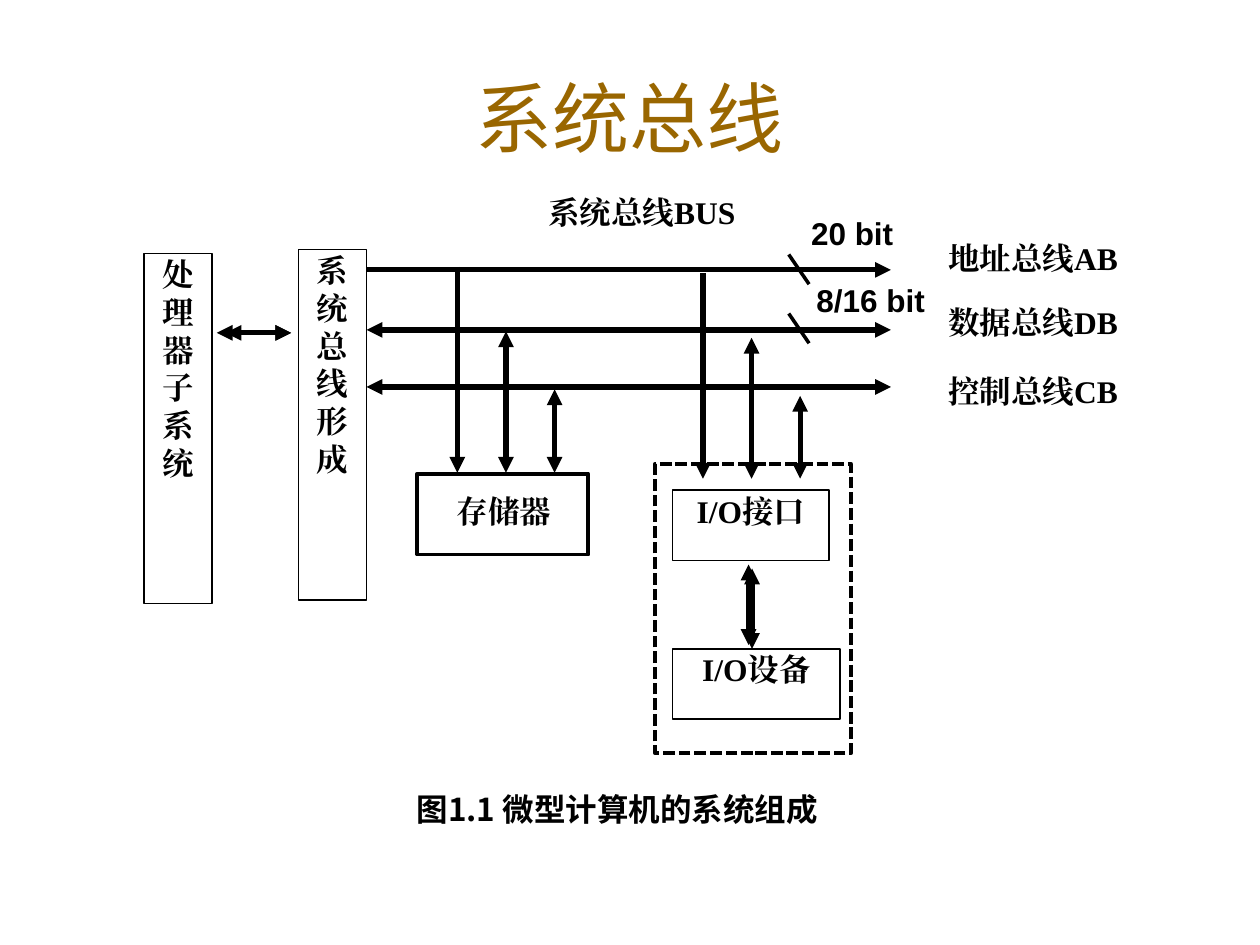
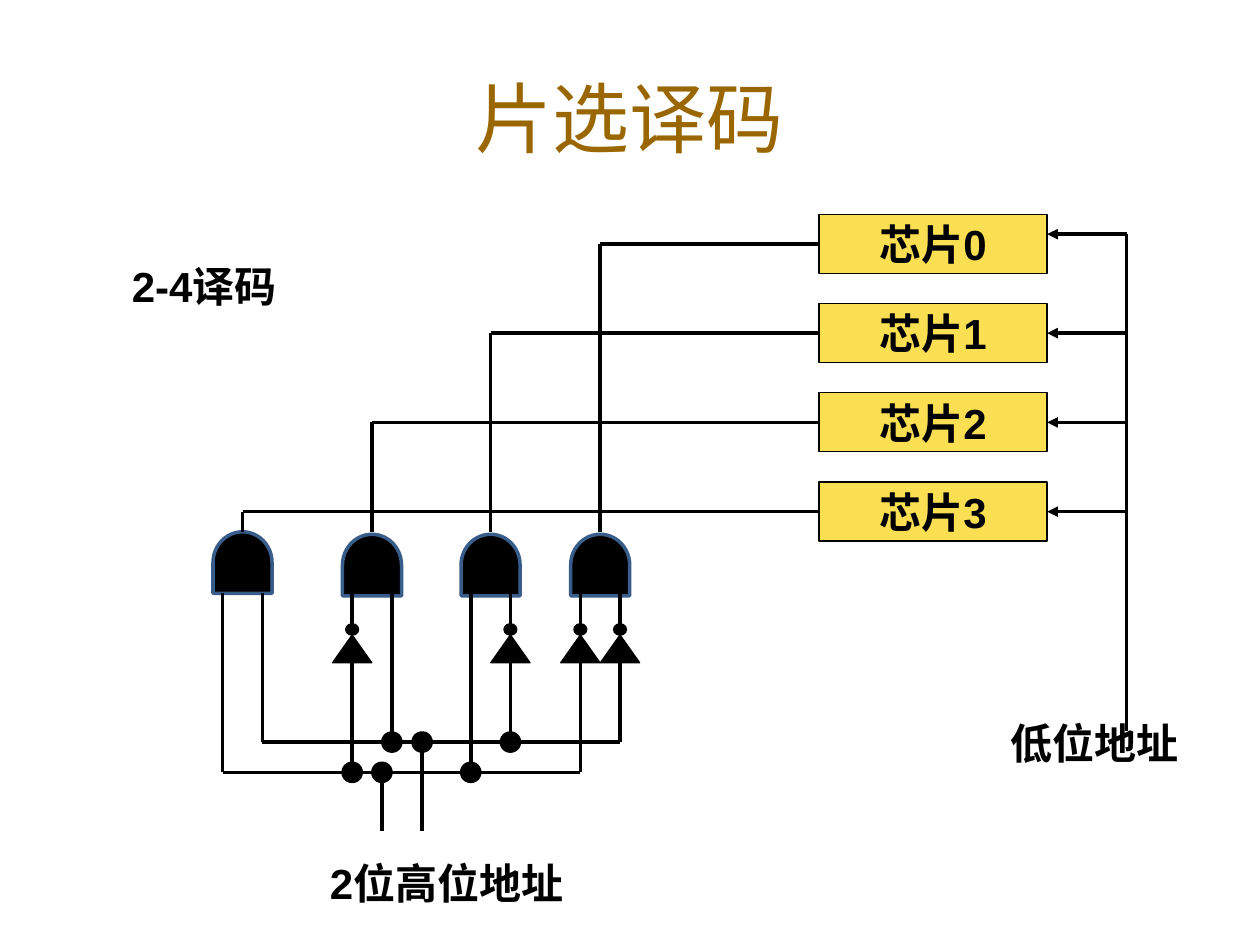
from lxml.etree import SubElement
from pptx import Presentation
from pptx.dml.color import RGBColor
from pptx.enum.dml import MSO_LINE
from pptx.enum.shapes import MSO_CONNECTOR, MSO_SHAPE
from pptx.enum.text import MSO_ANCHOR, MSO_AUTO_SIZE, PP_ALIGN
from pptx.oxml.ns import qn
from pptx.util import Cm, Pt

BLACK = RGBColor(0x00, 0x00, 0x00)
TITLE_BROWN = RGBColor(0x99, 0x66, 0x00)
CHIP_YELLOW = RGBColor(0xFB, 0xDF, 0x53)
GATE_BLUE = RGBColor(0x38, 0x5D, 0x8A)
SANS, SERIF, CJK = "Arial", "Times New Roman", "Noto Sans CJK SC"

BUS_TITLE = "系统总线"
BUS_LEFT, BUS_RIGHT = 7.39, 17.96
BUSES = [
    ("地址总线AB", 5.44, 4.78, False),
    ("数据总线DB", 6.65, 6.07, True),
    ("控制总线CB", 7.8, 7.47, True),
]
COLUMNS = [("系统总线形成", 6.02, 5.03), ("处理器子系统", 2.9, 5.11)]
CAPTIONS = [
    ("图1.1 微型计算机的系统组成", (6.38, 15.9, 12.12, 1.63), CJK),
    ("存储器", (8.69, 9.88, 2.95, 1.42), SERIF),
    ("系统总线BUS", (10.26, 3.86, 5.36, 1.47), SERIF),
]
IO_BOXES = [
    ("I/O设备", (13.56, 13.08, 3.38, 1.42)),
    ("I/O接口", (13.56, 9.88, 3.15, 1.42)),
]
MEMORY_FRAME = (8.41, 9.55, 3.45, 1.63)
IO_FRAME = (13.21, 9.35, 3.94, 5.84)
DROP_TOPS = [5.38, 6.68, 7.85]
DROP_GAP = 0.98
DROP_GROUPS = [(9.22, 0, 9.53), (14.17, 0.13, 9.65)]
LINKS = [
    (15.16, 11.46, 15.16, 13.08),
    (15.09, 11.38, 15.09, 13),
    (5.87, 6.71, 4.55, 6.71),
    (5.87, 6.71, 4.37, 6.71),
]
BUS_WIDTHS = [("20 bit", (16.1, 4.19, 2.16, 1.02), 5.13),
              ("8/16 bit", (16.21, 5.54, 2.69, 1.02), 6.32)]

DECODER_TITLE = "片选译码"
DECODER_LABELS = [
    ("2位高位地址", (6.4, 17.17, 5.41, 1.27)),
    ("2-4译码", (2.41, 5.13, 3.63, 1.27)),
    ("低位地址", (20.12, 14.33, 3.89, 1.27)),
]
CHIPS = ["芯片0", "芯片1", "芯片2", "芯片3"]
CHIP_LEFT, CHIP_TOP, CHIP_WIDTH, CHIP_HEIGHT, CHIP_GAP = 16.51, 4.32, 4.6, 1.19, 1.8
TRUNK_X, TRUNK_TOP, TRUNK_BOTTOM = 22.71, 4.72, 14.73
GATES = [
    (4.89, 11.34, (False, False)),
    (7.5, 11.39, (True, False)),
    (9.89, 11.39, (False, True)),
    (12.1, 11.39, (True, True)),
]
GATE_LENGTH, GATE_WIDTH, GATE_OUT, GATE_IN = 1.24, 1.19, 10.72, 11.96
INPUT_OFFSETS = (-0.4, 0.4)
ADDRESS_ROWS = (15.57, 14.96)
ADDRESS_TAPS = (7.7, 8.51)
TAP_BOTTOM = 16.76
BUBBLE_TOP, INVERTER_TOP, INVERTER_BOTTOM = 12.57, 12.8, 13.36
DOT = 0.41


def add_titled_slide(deck, title):
    slide = deck.slides.add_slide(deck.slide_layouts[5])
    heading = slide.shapes.title
    heading.left, heading.top, heading.width, heading.height = map(
        Cm, (1.27, 0.76, 22.86, 3.18))
    write(heading.text_frame, [title], SANS, 44, TITLE_BROWN, bold=False)
    heading.text_frame.vertical_anchor = MSO_ANCHOR.MIDDLE
    return slide


def write(frame, lines, typeface, size, color=BLACK, bold=True, align=PP_ALIGN.CENTER):
    frame.text = "\n".join(lines)
    for paragraph in frame.paragraphs:
        paragraph.alignment = align
        font = paragraph.font
        font.name, font.size, font.bold = typeface, Pt(size), bold
        font.color.rgb = color
        defaults = paragraph._p.pPr.find(qn("a:defRPr"))
        SubElement(defaults, qn("a:ea")).set("typeface", typeface)


def trim(frame, inset=0.03):
    frame.word_wrap = True
    frame.margin_left = frame.margin_right = Cm(inset)
    frame.margin_top = frame.margin_bottom = Cm(inset)


def add_caption(slide, text, box, typeface):
    frame = slide.shapes.add_textbox(*map(Cm, box)).text_frame
    trim(frame)
    write(frame, [text], typeface, 18)


def add_label(slide, text, box, size):
    frame = slide.shapes.add_textbox(*map(Cm, box)).text_frame
    frame.word_wrap = False
    frame.auto_size = MSO_AUTO_SIZE.SHAPE_TO_FIT_TEXT
    write(frame, [text], SANS, size, align=PP_ALIGN.LEFT)


def add_block(slide, preset, box, fill=None, line=BLACK, weight=0.75):
    block = slide.shapes.add_shape(preset, *map(Cm, box))
    block.shadow.inherit = False
    if fill is None:
        block.fill.background()
    else:
        block.fill.solid()
        block.fill.fore_color.rgb = fill
    block.line.color.rgb = line
    block.line.width = Pt(weight)
    return block


def add_centred(slide, preset, x, y, width, height, **style):
    return add_block(slide, preset, (x - width / 2, y - height / 2, width, height), **style)


def add_wire(slide, ends, weight=2, head=False, tail=False):
    wire = slide.shapes.add_connector(MSO_CONNECTOR.STRAIGHT, *map(Cm, ends))
    wire.line.color.rgb = BLACK
    wire.line.width = Pt(weight)
    outline = wire.line._get_or_add_ln()
    for tag, wanted in (("a:headEnd", head), ("a:tailEnd", tail)):
        if wanted:
            SubElement(outline, qn(tag)).set("type", "triangle")
    SubElement(wire._element.spPr, qn("a:effectLst"))


def build_bus_slide(deck):
    slide = add_titled_slide(deck, BUS_TITLE)
    for text, box, typeface in CAPTIONS:
        add_caption(slide, text, box, typeface)
    boxes = [(list(text), (left, top, 1.37, 7.06)) for text, left, top in COLUMNS]
    boxes += [([text], box) for text, box in IO_BOXES]
    for lines, box in boxes:
        frame = add_block(slide, MSO_SHAPE.RECTANGLE, box, weight=1).text_frame
        trim(frame)
        frame.vertical_anchor = MSO_ANCHOR.TOP
        write(frame, lines, SERIF, 18)
    io_frame = add_block(slide, MSO_SHAPE.RECTANGLE, IO_FRAME, weight=2.25)
    io_frame.line.dash_style = MSO_LINE.SQUARE_DOT
    add_block(slide, MSO_SHAPE.RECTANGLE, MEMORY_FRAME, weight=2.25)

    for text, y, label_top, two_way in BUSES:
        add_caption(slide, text, (18.36, label_top, 4.93, 1.47), SERIF)
        add_wire(slide, (BUS_LEFT, y, BUS_RIGHT, y), 3, head=two_way, tail=True)
    for first_x, shift, bottom in DROP_GROUPS:
        for i, (top, bus) in enumerate(zip(DROP_TOPS, BUSES)):
            x = first_x + i * DROP_GAP
            add_wire(slide, (x, top + shift, x, bottom), 3, head=bus[3], tail=True)
    for ends in LINKS:
        add_wire(slide, ends, 3, head=True, tail=True)
    for text, box, slash_top in BUS_WIDTHS:
        add_wire(slide, (15.9, slash_top, 16.31, slash_top + 0.6))
        add_label(slide, text, box, 18)


def add_inverter(slide, x):
    height = INVERTER_BOTTOM - INVERTER_TOP
    add_centred(slide, MSO_SHAPE.ISOSCELES_TRIANGLE, x, INVERTER_TOP + height / 2,
                0.79, height, fill=BLACK)
    add_centred(slide, MSO_SHAPE.OVAL, x, BUBBLE_TOP + 0.12, 0.26, 0.23, fill=BLACK)
    add_wire(slide, (x, BUBBLE_TOP, x, GATE_IN))


def build_decoder_slide(deck):
    slide = add_titled_slide(deck, DECODER_TITLE)
    for x, y, _ in GATES:
        gate = add_centred(slide, MSO_SHAPE.FLOWCHART_DELAY, x, y, GATE_LENGTH, GATE_WIDTH,
                           fill=BLACK, line=GATE_BLUE, weight=2)
        gate.rotation = 270

    for offset, row, tap, side in zip(INPUT_OFFSETS, ADDRESS_ROWS, ADDRESS_TAPS, (0, 1)):
        inputs = [x + offset for x, _, _ in GATES]
        add_wire(slide, (inputs[0], row, inputs[-1], row))
        add_wire(slide, (tap, TAP_BOTTOM, tap, row))
        for x, (_, _, inverted) in zip(inputs, GATES):
            add_wire(slide, (x, row, x, INVERTER_BOTTOM if inverted[side] else GATE_IN))
            if inverted[side]:
                add_inverter(slide, x)
        for x in [tap] + inputs[1:-1]:
            add_centred(slide, MSO_SHAPE.OVAL, x, row, DOT, DOT, fill=BLACK)

    for i, (text, gate) in enumerate(zip(CHIPS, reversed(GATES))):
        top = CHIP_TOP + i * CHIP_GAP
        middle = top + CHIP_HEIGHT / 2
        chip = add_block(slide, MSO_SHAPE.RECTANGLE,
                         (CHIP_LEFT, top, CHIP_WIDTH, CHIP_HEIGHT), fill=CHIP_YELLOW)
        chip.text_frame.word_wrap = False
        chip.text_frame.vertical_anchor = MSO_ANCHOR.MIDDLE
        write(chip.text_frame, [text], SANS, 24)
        add_wire(slide, (gate[0], GATE_OUT, gate[0], middle))
        add_wire(slide, (gate[0], middle, CHIP_LEFT, middle))
        entry = middle if i else TRUNK_TOP
        add_wire(slide, (TRUNK_X, entry, CHIP_LEFT + CHIP_WIDTH, entry), tail=True)
    add_wire(slide, (TRUNK_X, TRUNK_TOP, TRUNK_X, TRUNK_BOTTOM))
    for text, box in DECODER_LABELS:
        add_label(slide, text, box, 24)


def main():
    deck = Presentation()
    deck.slide_width, deck.slide_height = Cm(25.4), Cm(19.05)
    build_bus_slide(deck)
    build_decoder_slide(deck)
    deck.save("out.pptx")


if __name__ == "__main__":
    main()
